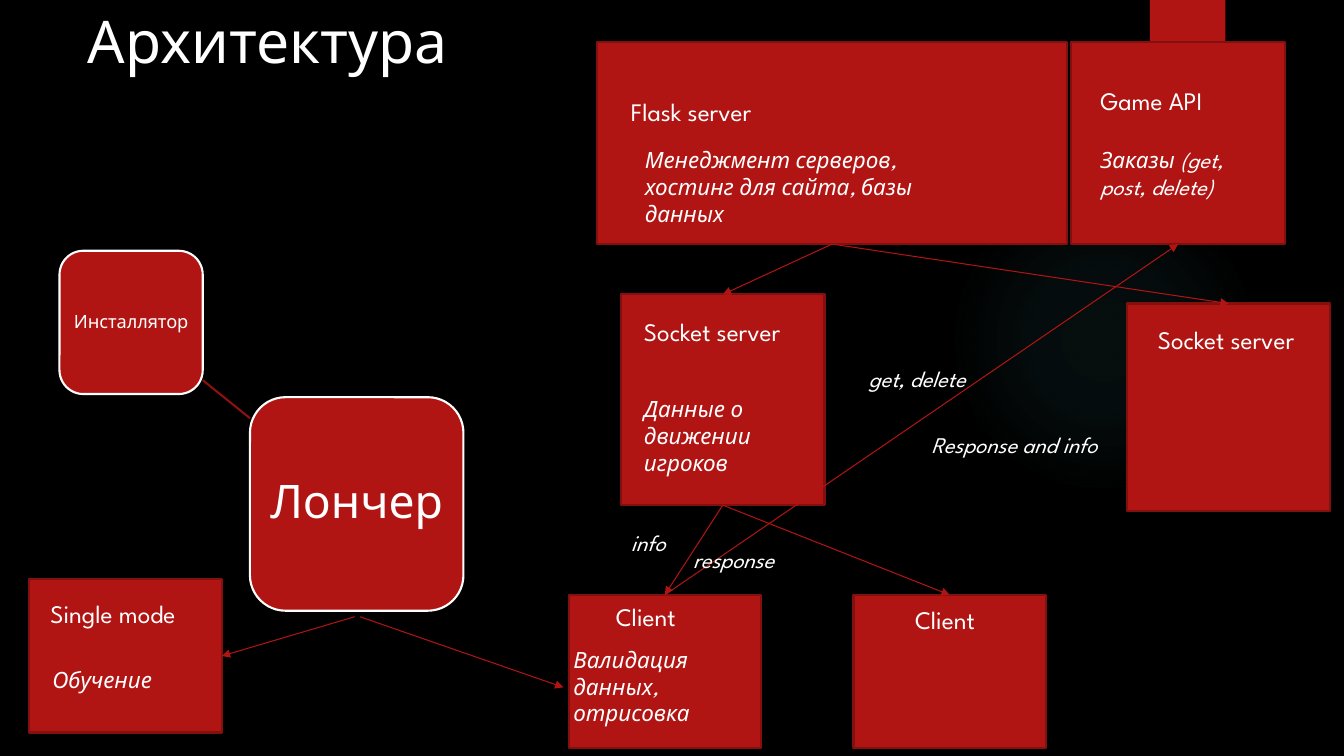
from lxml import etree
from pptx import Presentation
from pptx.dml.color import RGBColor
from pptx.enum.shapes import MSO_CONNECTOR as LINE, MSO_SHAPE as SHAPE
from pptx.enum.text import MSO_ANCHOR as ANCHOR, PP_ALIGN as ALIGN
from pptx.oxml.ns import qn
from pptx.util import Cm, Pt

FONT = "League Spartan"
RED, EDGE, DARK, WHITE, BLACK = "B01513", "82100E", "8D110F", "FFFFFF", "000000"
TOP, BOTTOM = 0, 2  # connection sites of a rectangle
HEADING = {"size": Pt(18)}
NOTE = {"size": Pt(16), "italic": True}

BOXES = {
    "flask": (15.04, 1.07, 11.86, 5.08),
    "api": (27, 1.07, 5.38, 5.08),
    "client 1": (14.33, 14.99, 4.85, 3.86),
    "socket 1": (15.65, 7.42, 5.13, 5.31),
    "socket 2": (28.4, 7.65, 5.13, 5.23),
    "client 2": (21.51, 14.99, 4.85, 3.86),
    "single": (0.74, 14.6, 4.85, 3.86),
}
LINKS = [
    ("flask", BOTTOM, "socket 1", TOP),
    ("flask", BOTTOM, "socket 2", TOP),
    ("socket 1", BOTTOM, "client 1", TOP),
    ("socket 1", BOTTOM, "client 2", TOP),
    ("client 1", TOP, "api", BOTTOM),
]
LABELS = [
    ("Flask server", (15.65, 2.31, 6.53, 1.02), HEADING),
    ("Game API", (27.48, 2.03, 3.68, 1.02), HEADING),
    ("Socket server", (15.98, 7.85, 5.13, 1.02), HEADING),
    ("Socket server", (28.93, 8.05, 4.5, 1.02), HEADING),
    ("Client", (15.27, 15.04, 6.53, 1.02), HEADING),
    ("Client", (22.81, 15.11, 6.53, 1.02), HEADING),
    ("Single mode", (1.02, 14.96, 4.75, 1.02), HEADING),
    ("Заказы (get, post, delete)", (27.48, 3.56, 4.22, 1.63), NOTE),
    ("Данные о движении игроков", (15.98, 9.83, 4.22, 2.31), NOTE),
    ("Менеджмент серверов, хостинг для сайта, базы данных",
     (16, 3.56, 8.26, 2.31), NOTE),
    ("Валидация данных, отрисовка", (14.2, 16.15, 4.85, 2.31), NOTE),
    ("Обучение", (1.07, 16.66, 4.85, 0.94), NOTE),
    ("info", (15.65, 13.21, 4.85, 0.94), NOTE),
    ("response", (17.22, 13.64, 4.85, 0.94), NOTE),
    ("get, delete", (21.64, 9.07, 4.85, 0.94), NOTE),
    ("Response and info", (23.22, 10.74, 4.85, 0.94), NOTE),
]


def color(value):
    return RGBColor.from_string(value)


def write(tf, text, font, align=ALIGN.LEFT):
    p = tf.paragraphs[0]
    p.alignment = align
    r = p.add_run()
    r.text = text
    for name, value in {"name": FONT, **font}.items():
        setattr(r.font, name, value)
    r.font.color.rgb = color(WHITE)
    return p


def add_block(s, kind, at, line=None):
    sp = s.shapes.add_shape(kind, *map(Cm, at))
    sp.shadow.inherit = False
    sp.fill.solid()
    sp.fill.fore_color.rgb = color(RED)
    if line:
        sp.line.color.rgb = color(line)
        sp.line.width = Pt(1.5)
    else:
        sp.line.fill.background()
    return sp


def add_node(s, text, at, size):
    tf = add_block(s, SHAPE.ROUNDED_RECTANGLE, at, WHITE).text_frame
    tf.vertical_anchor = ANCHOR.MIDDLE
    tf.word_wrap = False
    for side in ("left", "right", "top", "bottom"):
        setattr(tf, f"margin_{side}", 0)
    write(tf, text, {"size": Pt(size)}, ALIGN.CENTER).line_spacing = 0.9


def add_label(s, text, at, font):
    tf = s.shapes.add_textbox(*map(Cm, at)).text_frame
    tf.word_wrap = True
    write(tf, text, font)


def add_line(s, ends=(0, 0, 0, 0), line=RED, width=0.75, arrow=True):
    cx = s.shapes.add_connector(LINE.STRAIGHT, *map(Cm, ends))
    cx.line.color.rgb = color(line)
    cx.line.width = Pt(width)
    if arrow:
        etree.SubElement(cx.line._get_or_add_ln(), qn("a:tailEnd"), type="triangle")
    etree.SubElement(cx._element.spPr, qn("a:effectLst"))
    return cx


def add_glow(s, at):
    sp = add_block(s, SHAPE.OVAL, at)
    grad = etree.Element(qn("a:gradFill"))
    stops = etree.SubElement(grad, qn("a:gsLst"))
    for pos, alpha in ((0, 7), (36, 6), (69, 0)):
        stop = etree.SubElement(stops, qn("a:gs"), pos=f"{pos}000")
        tint = etree.SubElement(stop, qn("a:srgbClr"), val="50B9C1")
        etree.SubElement(tint, qn("a:alpha"), val=str(alpha * 1000))
    path = etree.SubElement(grad, qn("a:path"), path="circle")
    etree.SubElement(path, qn("a:fillToRect"),
                     {side: "50000" for side in "ltrb"})
    solid = sp._element.spPr.find(qn("a:solidFill"))
    solid.getparent().replace(solid, grad)


def add_title(s, text, at):
    title = s.shapes.title
    title.left, title.top, title.width, title.height = map(Cm, at)
    title.text_frame.vertical_anchor = ANCHOR.TOP
    write(title.text_frame, text, {"size": Pt(42)})


def main():
    prs = Presentation()
    prs.slide_width, prs.slide_height = Cm(33.87), Cm(19.05)
    s = prs.slides.add_slide(prs.slide_layouts[5])

    # Backdrop and title
    s.background.fill.solid()
    s.background.fill.fore_color.rgb = color(BLACK)
    add_glow(s, (23.9, 4.65, 7.82, 7.82))
    add_block(s, SHAPE.RECTANGLE, (28.98, 0, 1.9, 3.18))
    add_title(s, "Архитектура", (1.96, 0, 29.21, 3.68))

    # Launcher and installer
    add_node(s, "Лончер", (6.3, 10.01, 5.38, 5.38), 33)
    add_line(s, (6.3, 10.54, 5.11, 9.58), DARK, 1.5, arrow=False)
    add_node(s, "Инсталлятор", (1.5, 6.32, 3.61, 3.61), 13)

    # Servers and clients
    boxes = {name: add_block(s, SHAPE.RECTANGLE, at, EDGE)
             for name, at in BOXES.items()}

    # Arrows
    for start, start_site, end, end_site in LINKS:
        cx = add_line(s)
        cx.begin_connect(boxes[start], start_site)
        cx.end_connect(boxes[end], end_site)
    add_line(s, (9.07, 15.54, 14.2, 17.32))
    add_line(s, (8.94, 15.54, 5.59, 16.53))

    # Captions
    for text, at, font in LABELS:
        add_label(s, text, at, font)

    prs.save("out.pptx")


if __name__ == "__main__":
    main()
